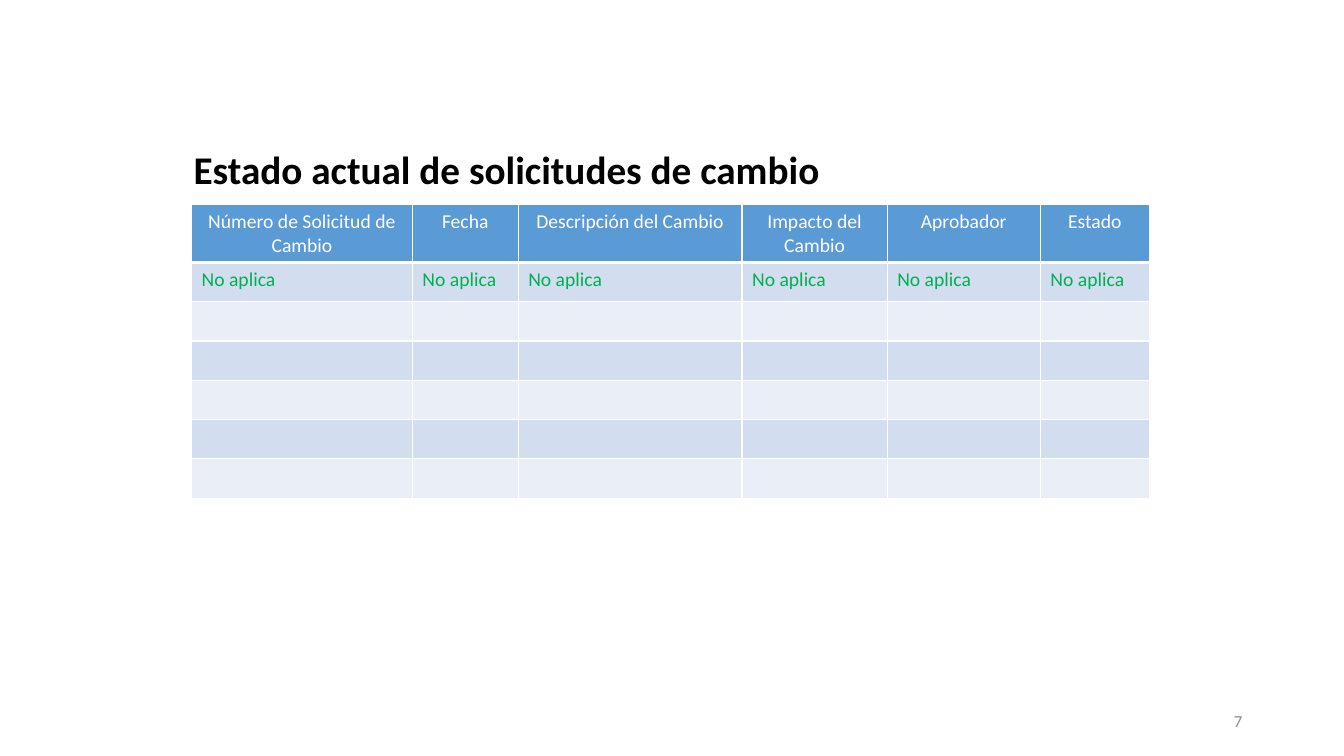
"""Build the slide on the current state of change requests."""
from dataclasses import dataclass

from lxml import etree
from pptx import Presentation
from pptx import util as u
from pptx.dml.color import RGBColor
from pptx.enum import text
from pptx.oxml.ns import qn

PX = 9144
FONT = "Calibri"
BLACK = RGBColor(0x00, 0x00, 0x00)
WHITE = RGBColor(0xFF, 0xFF, 0xFF)
GREY = RGBColor(0x8C, 0x8C, 0x8C)
GREEN = RGBColor(0x00, 0xB0, 0x50)
HEADER_BLUE = RGBColor(0x5B, 0x9B, 0xD5)
BANDS = (RGBColor(0xEA, 0xEF, 0xF7), RGBColor(0xD2, 0xDE, 0xEF))
ROW_COUNT = 7
ROW_HEIGHT = 39
CELL_SIZE = 14


@dataclass(frozen=True)
class Style:
    size: int
    color: RGBColor
    align: text.PP_ALIGN = text.PP_ALIGN.LEFT
    bold: bool = False


@dataclass(frozen=True)
class Column:
    heading: str
    width: int
    status: str = "No aplica"


TITLE_STYLE = Style(28, BLACK, bold=True)
NUMBER_STYLE = Style(12, GREY, text.PP_ALIGN.RIGHT)
HEADER_STYLE = Style(CELL_SIZE, WHITE, text.PP_ALIGN.CENTER)
STATUS_STYLE = Style(CELL_SIZE, GREEN)
COLUMNS = (
    Column("Número de Solicitud de Cambio", 219),
    Column("Fecha", 105),
    Column("Descripción del Cambio", 222),
    Column("Impacto del Cambio", 144),
    Column("Aprobador", 152),
    Column("Estado", 108),
)


def px(length: int) -> u.Emu:
    return u.Emu(length * PX)


def write(frame, wording: str, style: Style) -> None:
    para = frame.paragraphs[0]
    para.alignment = style.align
    span = para.add_run()
    span.text = wording
    span.font.name = FONT
    span.font.size = u.Pt(style.size)
    span.font.bold = style.bold
    span.font.color.rgb = style.color


def write_line(box, wording: str, style: Style) -> None:
    frame = box.text_frame
    frame.word_wrap = True
    frame.auto_size = text.MSO_AUTO_SIZE.NONE
    frame.vertical_anchor = text.MSO_ANCHOR.MIDDLE
    write(frame, wording, style)


def set_borders(cell, bottom: int) -> None:
    properties = cell._tc.get_or_add_tcPr()
    for side, points in (("L", 1), ("R", 1), ("T", 1), ("B", bottom)):
        line = etree.SubElement(properties, qn(f"a:ln{side}"), w=str(u.Pt(points)))
        fill = etree.SubElement(line, qn("a:solidFill"))
        etree.SubElement(fill, qn("a:srgbClr"), val=str(WHITE))


def fill_cell(cell, row: int, column: Column) -> None:
    set_borders(cell, 1 if row else 3)
    cell.fill.solid()
    cell.fill.fore_color.rgb = BANDS[row % 2] if row else HEADER_BLUE
    if row == 0:
        write(cell.text_frame, column.heading, HEADER_STYLE)
    elif row == 1:
        write(cell.text_frame, column.status, STATUS_STYLE)
    else:
        para = cell.text_frame.paragraphs[0]
        etree.SubElement(para._p, qn("a:endParaRPr"), sz=str(CELL_SIZE * 100))


def add_requests(page) -> None:
    width = sum(column.width for column in COLUMNS)
    table = page.shapes.add_table(
        ROW_COUNT, len(COLUMNS), px(190), px(203), px(width), px(ROW_COUNT * ROW_HEIGHT)
    ).table
    table.first_row = False
    table.horz_banding = False
    for row in table.rows:
        row.height = px(ROW_HEIGHT)
    for index, column in enumerate(COLUMNS):
        table.columns[index].width = px(column.width)
        for row in range(ROW_COUNT):
            fill_cell(table.cell(row, index), row, column)


def main() -> None:
    deck = Presentation()
    deck.slide_width, deck.slide_height = px(1333), px(750)
    page = deck.slides.add_slide(deck.slide_layouts[5])
    title = page.shapes.title
    title.left, title.top, title.width, title.height = map(px, (182, 148, 850, 39))
    write_line(title, "Estado actual de solicitudes de cambio", TITLE_STYLE)
    number = page.shapes.add_textbox(*map(px, (942, 695, 300, 40)))
    write_line(number, "7", NUMBER_STYLE)
    add_requests(page)
    deck.save("out.pptx")


if __name__ == "__main__":
    main()
